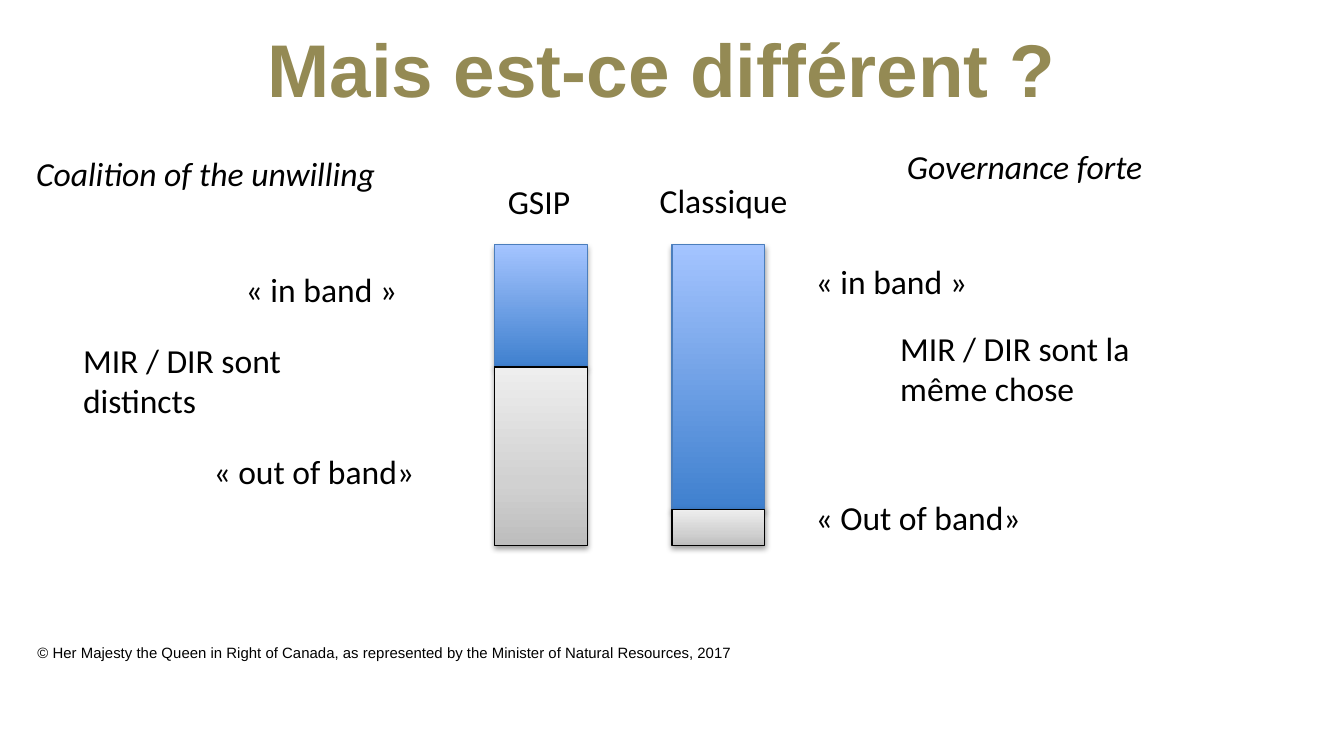
from copy import deepcopy

from lxml import etree
from pptx import Presentation
from pptx.dml.color import RGBColor
from pptx.enum.shapes import MSO_SHAPE
from pptx.enum.text import MSO_ANCHOR, PP_ALIGN
from pptx.oxml.ns import qn
from pptx.util import Inches, Pt

RECTANGLE = MSO_SHAPE.RECTANGLE
MIDDLE = MSO_ANCHOR.MIDDLE
CENTER = PP_ALIGN.CENTER

COLORS = {"title": "948A54", "text": "000000", "shadow": "000000"}
IN_BAND = {
    "stops": [(0, "3F80CE"), (100, "A4C4FF")],
    "line": "4B7EBC", "shadow_alpha": 35, "shadow_distance": 1.8,
}
OUT_OF_BAND = {
    "stops": [(0, "BDBDBD"), (35, "D1D1D1"), (100, "EEEEEE")],
    "line": "000000", "shadow_alpha": 38, "shadow_distance": 1.6,
}


def add_text(page, box, text, size=18, font="Calibri", color="text",
             bold=False, italic=False, wrap=True):
    label = page.shapes.add_textbox(*map(Inches, box))
    frame = label.text_frame
    frame.word_wrap = wrap
    frame.text = text
    style = frame.paragraphs[0].runs[0].font
    style.name, style.size = font, Pt(size)
    style.bold, style.italic = bold, italic
    style.color.rgb = RGBColor.from_string(COLORS[color])
    return frame


def set_gradient(shape, stops):
    """Fill the shape from bottom to top with (percent, colour) stops."""
    shape.fill.gradient()
    shape.fill.gradient_angle = 90
    stop_list = shape.fill._fill._gradFill.find(qn("a:gsLst"))
    while len(stop_list) < len(stops):
        stop_list.append(deepcopy(stop_list[-1]))
    for stop, (percent, color) in zip(shape.fill.gradient_stops, stops):
        stop.position = percent / 100
        stop.color.rgb = RGBColor.from_string(color)


def set_shadow(shape, alpha, distance):
    shape.shadow.inherit = False
    effects = shape._element.spPr.find(qn("a:effectLst"))
    shadow = etree.SubElement(
        effects, qn("a:outerShdw"), blurRad=str(Pt(3.1)),
        dist=str(Pt(distance)), dir="5400000", rotWithShape="0")
    color = etree.SubElement(shadow, qn("a:srgbClr"), val=COLORS["shadow"])
    etree.SubElement(color, qn("a:alpha"), val=str(alpha * 1000))


def add_segment(page, box, look):
    segment = page.shapes.add_shape(RECTANGLE, *map(Inches, box))
    set_gradient(segment, look["stops"])
    segment.line.color.rgb = RGBColor.from_string(look["line"])
    segment.line.width = Pt(0.75)
    set_shadow(segment, look["shadow_alpha"], look["shadow_distance"])


def add_bar(page, box, in_band_height):
    """Stack the in-band part on the out-of-band part inside the box."""
    left, top, width, height = box
    add_segment(page, (left, top, width, in_band_height), IN_BAND)
    add_segment(page, (left, top + in_band_height, width,
                       height - in_band_height), OUT_OF_BAND)


def add_side(page, box, heading, heading_width, labels):
    """Place an italic heading and (x, y, width, height, text) labels."""
    left, top = box[:2]
    add_text(page, (left, top, heading_width, 0.4), heading,
             italic=True, wrap=False)
    for x, y, width, height, text in labels:
        add_text(page, (left + x, top + y, width, height), text)


def add_title(page, box):
    frame = add_text(page, box, "Mais est-ce différent ?", 40, "Arial",
                     "title", bold=True)
    frame.vertical_anchor = MIDDLE
    frame.paragraphs[0].alignment = CENTER


def main():
    deck = Presentation()
    deck.slide_width = Inches(10)
    deck.slide_height = Inches(10 * 9 / 16)
    page = deck.slides.add_slide(deck.slide_layouts[6])

    add_title(page, (0.42, 0.03, 9, 0.94))

    add_bar(page, (3.68, 1.82, 0.69, 2.24), 0.91)
    add_bar(page, (5, 1.82, 0.69, 2.24), 1.97)
    add_text(page, (3.68, 1.3, 0.73, 0.4), "GSIP")
    add_text(page, (4.81, 1.29, 1.31, 0.4), "Classique")

    add_side(page, (0.17, 1.09, 3.1, 2.62), "Coalition of the unwilling", 2.77, [
        (1.56, 0.86, 1.42, 0.4, "« in band »"),
        (0.35, 1.39, 2.43, 0.71, "MIR / DIR sont distincts"),
        (1.32, 2.22, 1.78, 0.4, "« out of band»"),
    ])
    add_side(page, (6.65, 1.04, 2.38, 3.01), "Governance forte", 1.97, [
        (-0.68, 0.85, 1.42, 0.4, "« in band »"),
        (-0.05, 1.35, 2.43, 0.71, "MIR / DIR sont la même chose"),
        (-0.68, 2.61, 1.84, 0.4, "« Out of band»"),
    ])

    add_text(page, (0.18, 4.74, 5.44, 0.37),
             "© Her Majesty the Queen in Right of Canada, as represented by "
             "the Minister of Natural Resources, 2017", 8, "Arial")
    deck.save("out.pptx")


if __name__ == "__main__":
    main()
